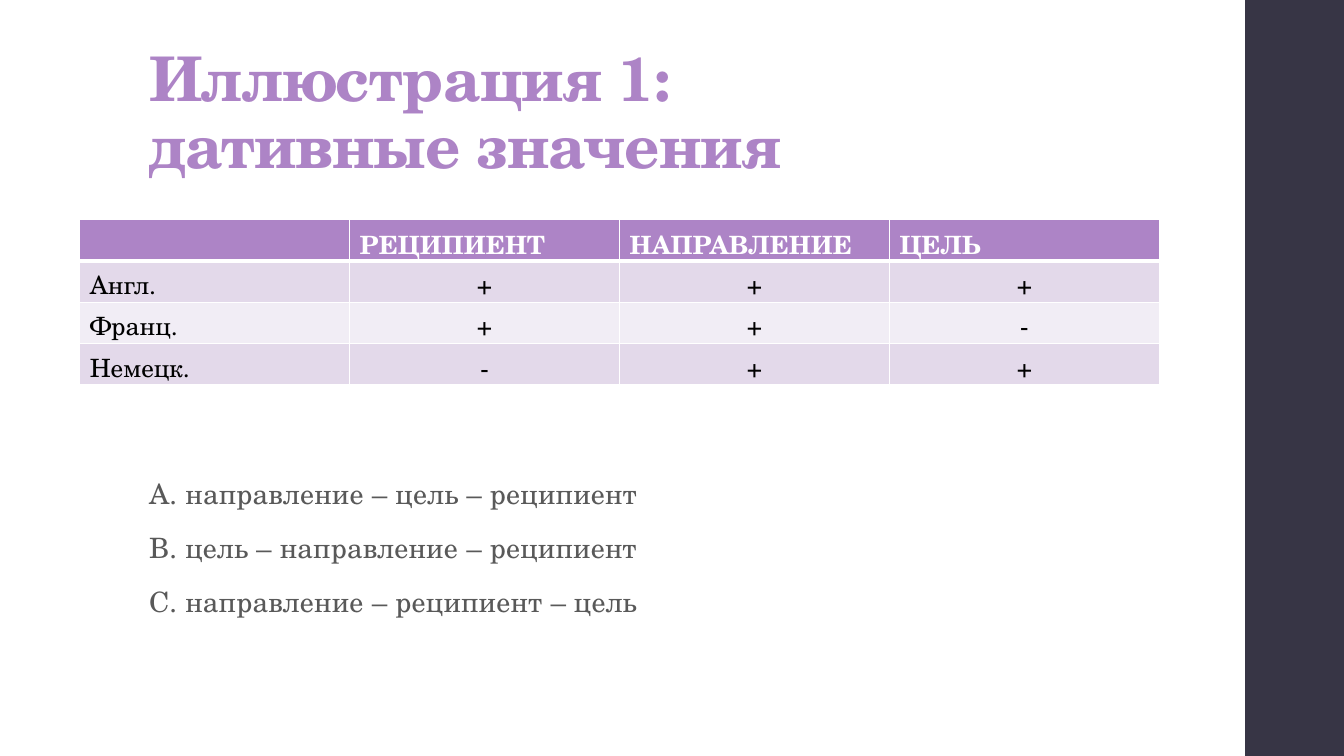
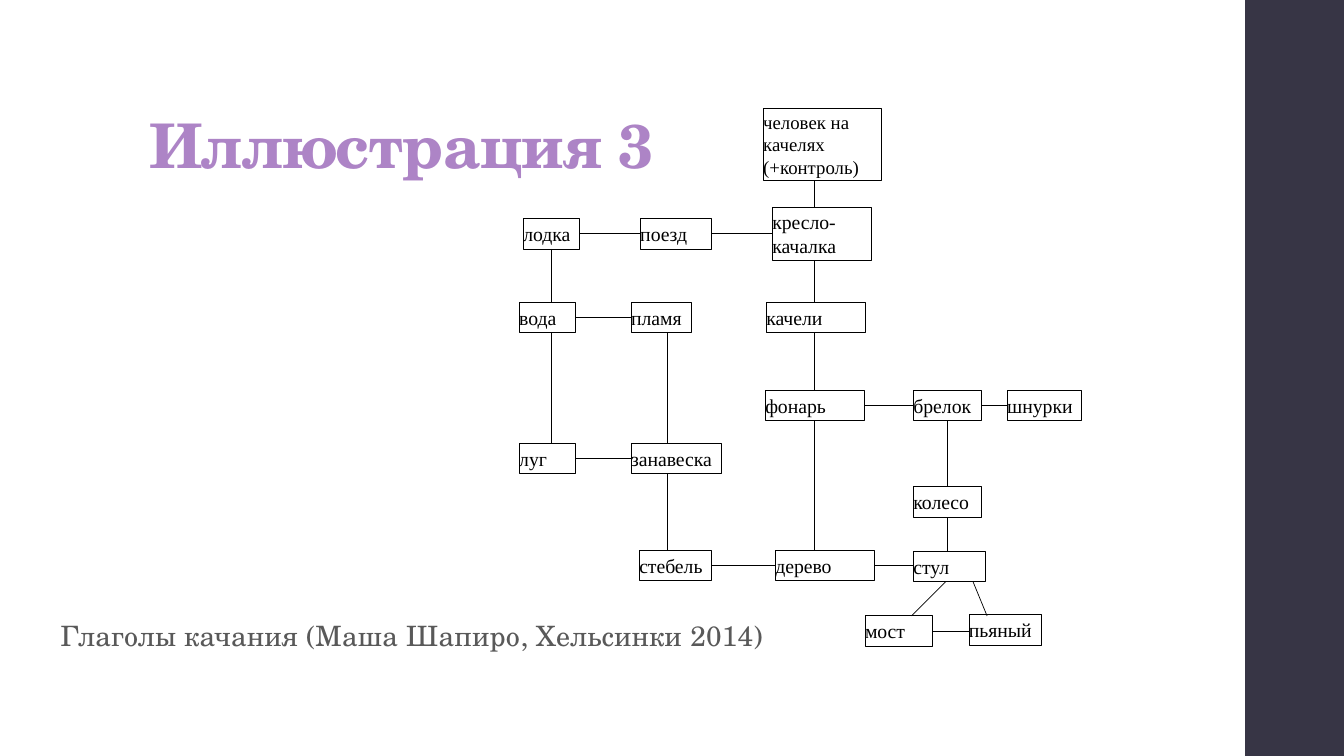
from itertools import pairwise

from lxml import etree
from pptx import Presentation
from pptx import util as u
from pptx.dml.color import RGBColor
from pptx.enum import shapes, text
from pptx.oxml.ns import qn

# Shared look
SERIF, ROMAN = "TeX Gyre Schola", "Times New Roman"
LILAC, DARK, GREY = "AD84C6", "373545", "595959"
BLACK, WHITE = "000000", "FFFFFF"
BANDS = ["E3D9EA", "F1EDF5"]

# Table content
HEAD = ["", "РЕЦИПИЕНТ", "НАПРАВЛЕНИЕ", "ЦЕЛЬ"]
ROWS = [["Англ.", "+", "+", "+"],
        ["Франц.", "+", "+", "-"],
        ["Немецк.", "-", "+", "+"]]
CHAINS = ["А. направление – цель – реципиент",
          "B. цель – направление – реципиент",
          "C. направление – реципиент – цель"]

# Map of words: left, top, width, height
MAN, CHAIR = "человек на качелях (+контроль)", "кресло-качалка"
NODES = {
    MAN: (7.57, 1.07, 1.17, 0.72),
    CHAIR: (7.66, 2.06, 0.98, 0.52),
    "лодка": (5.19, 2.17, 0.56, 0.3),
    "поезд": (6.35, 2.17, 0.71, 0.3),
    "вода": (5.15, 3, 0.56, 0.3),
    "пламя": (6.26, 3, 0.6, 0.3),
    "качели": (7.6, 3, 0.98, 0.3),
    "фонарь": (7.59, 3.87, 0.98, 0.3),
    "брелок": (9.06, 3.87, 0.67, 0.3),
    "шнурки": (9.99, 3.87, 0.74, 0.3),
    "луг": (5.15, 4.4, 0.56, 0.3),
    "занавеска": (6.26, 4.4, 0.9, 0.3),
    "колесо": (9.06, 4.83, 0.67, 0.3),
    "стебель": (6.34, 5.46, 0.72, 0.3),
    "дерево": (7.69, 5.46, 0.98, 0.3),
    "стул": (9.06, 5.47, 0.71, 0.3),
    "мост": (8.58, 6.11, 0.67, 0.3),
    "пьяный": (9.61, 6.1, 0.72, 0.3),
}
# Words joined downwards, by the x of the line
DOWN = {5.47: ["лодка", "вода", "луг"],
        6.62: ["пламя", "занавеска", "стебель"],
        8.08: [MAN, CHAIR, "качели", "фонарь", "дерево"],
        9.4: ["брелок", "колесо", "стул"]}
# Words joined from left to right
ACROSS = [["лодка", "поезд", CHAIR],
          ["вода", "пламя"],
          ["луг", "занавеска"],
          ["фонарь", "брелок", "шнурки"],
          ["стебель", "дерево", "стул"],
          ["мост", "пьяный"]]
SLANTS = [(9.38, 5.77, 9.04, 6.11), (9.65, 5.77, 9.79, 6.11)]


def tint(code):
    return RGBColor.from_string(code)


def inch(*nums):
    return [u.Inches(n) for n in nums]


def add_run(para, words, size, color, font=SERIF, bold=False, track=0):
    run = para.add_run()
    run.text = words
    face = run.font
    face.name, face.size, face.bold = font, u.Pt(size), bold
    face.color.rgb = tint(color)
    if track:
        run._r.get_or_add_rPr().set("spc", str(track))


def set_frame(frame, pads, anchor):
    frame.word_wrap = True
    frame.vertical_anchor = anchor
    (frame.margin_left, frame.margin_top,
     frame.margin_right, frame.margin_bottom) = inch(*pads)


def add_rect(slide, box, fill=None, line=None):
    rect = slide.shapes.add_shape(shapes.MSO_SHAPE.RECTANGLE, *inch(*box))
    rect.shadow.inherit = False
    if fill:
        rect.fill.solid()
        rect.fill.fore_color.rgb = tint(fill)
    else:
        rect.fill.background()
    if line:
        rect.line.color.rgb = tint(line)
        rect.line.width = u.Pt(0.5)
    else:
        rect.line.fill.background()
    return rect


def add_title(slide, lines):
    box = slide.shapes.add_textbox(*inch(1.38, 0.29, 10.6, 1.56))
    set_frame(box.text_frame, (0.1, 0.03, 0.1, 0.05), text.MSO_ANCHOR.BOTTOM)
    para = box.text_frame.paragraphs[0]
    para.line_spacing = 0.9
    for num, line in enumerate(lines):
        if num:
            para.add_line_break()
        add_run(para, line, 44, LILAC, bold=True, track=-50)


def add_body(slide, box, lines):
    frame = slide.shapes.add_textbox(*inch(*box)).text_frame
    set_frame(frame, (0.1, 0.05, 0.1, 0.05), text.MSO_ANCHOR.TOP)
    for num, line in enumerate(lines):
        para = frame.add_paragraph() if num else frame.paragraphs[0]
        para.line_spacing = 0.95
        para.space_before = u.Pt(14 if num else 0)
        para.space_after = u.Pt(2)
        add_run(para, line, 20, GREY, track=10)


def add_page(deck, lines):
    slide = deck.slides.add_slide(deck.slide_layouts[6])
    add_rect(slide, (12.35, 0, 1, 7.5), fill=DARK)
    add_title(slide, lines)
    return slide


def set_edge(cell, side, width):
    edge = etree.SubElement(cell._tc.get_or_add_tcPr(), qn("a:ln" + side),
                            w=str(u.Pt(width)))
    fill = etree.SubElement(edge, qn("a:solidFill"))
    etree.SubElement(fill, qn("a:srgbClr"), val=WHITE)


def add_grid(slide, rows):
    frame = slide.shapes.add_table(len(rows), len(rows[0]),
                                   *inch(0.79, 2.18, 10.71, 1.64))
    grid = frame.table
    grid.horz_banding = False
    for r, row in enumerate(rows):
        grid.rows[r].height = u.Inches(0.41)
        for c, words in enumerate(row):
            cell = grid.cell(r, c)
            # Borders come before the fill; the rule under the head is thick
            for side in "LRTB":
                thick = (r, side) in [(0, "B"), (1, "T")]
                set_edge(cell, side, 3 if thick else 1)
            cell.fill.solid()
            cell.fill.fore_color.rgb = tint(BANDS[(r - 1) % 2] if r else LILAC)
            para = cell.text_frame.paragraphs[0]
            if r and c:
                para.alignment = text.PP_ALIGN.CENTER
            if words:
                add_run(para, words, 18, BLACK if r else WHITE, bold=r == 0)


def add_node(slide, words, box):
    node = add_rect(slide, box, line=BLACK)
    set_frame(node.text_frame, (0, 0, 0, 0), text.MSO_ANCHOR.MIDDLE)
    para = node.text_frame.paragraphs[0]
    para.alignment = text.PP_ALIGN.LEFT
    add_run(para, words, 13.4 if words == MAN else 14.1, BLACK, ROMAN)


def add_link(slide, *ends):
    link = slide.shapes.add_connector(shapes.MSO_CONNECTOR.STRAIGHT,
                                      *inch(*ends))
    link.line.color.rgb = tint(BLACK)
    link.line.width = u.Pt(0.5)
    etree.SubElement(link._element.spPr, qn("a:effectLst"))


def add_map(slide):
    for words, box in NODES.items():
        add_node(slide, words, box)
    for x, chain in DOWN.items():
        for a, b in pairwise(chain):
            top, high = NODES[a][1], NODES[a][3]
            add_link(slide, x, top + high, x, NODES[b][1])
    for chain in ACROSS:
        for a, b in pairwise(chain):
            left, top, wide, high = NODES[a]
            y = top + high / 2
            add_link(slide, left + wide, y, NODES[b][0], y)
    for ends in SLANTS:
        add_link(slide, *ends)


def main():
    deck = Presentation()
    deck.slide_width, deck.slide_height = inch(13.33, 7.5)

    # Table of dative meanings
    page = add_page(deck, ["Иллюстрация 1:", "дативные значения"])
    add_body(page, (1.38, 4.7, 9.4, 2.06), CHAINS)
    add_grid(page, [HEAD] + ROWS)

    # Map of swinging verbs
    page = add_page(deck, ["Иллюстрация 3"])
    add_body(page, (0.5, 6.11, 7.25, 0.55),
             ["Глаголы качания (Маша Шапиро, Хельсинки 2014)"])
    add_map(page)

    deck.save("out.pptx")


if __name__ == "__main__":
    main()
